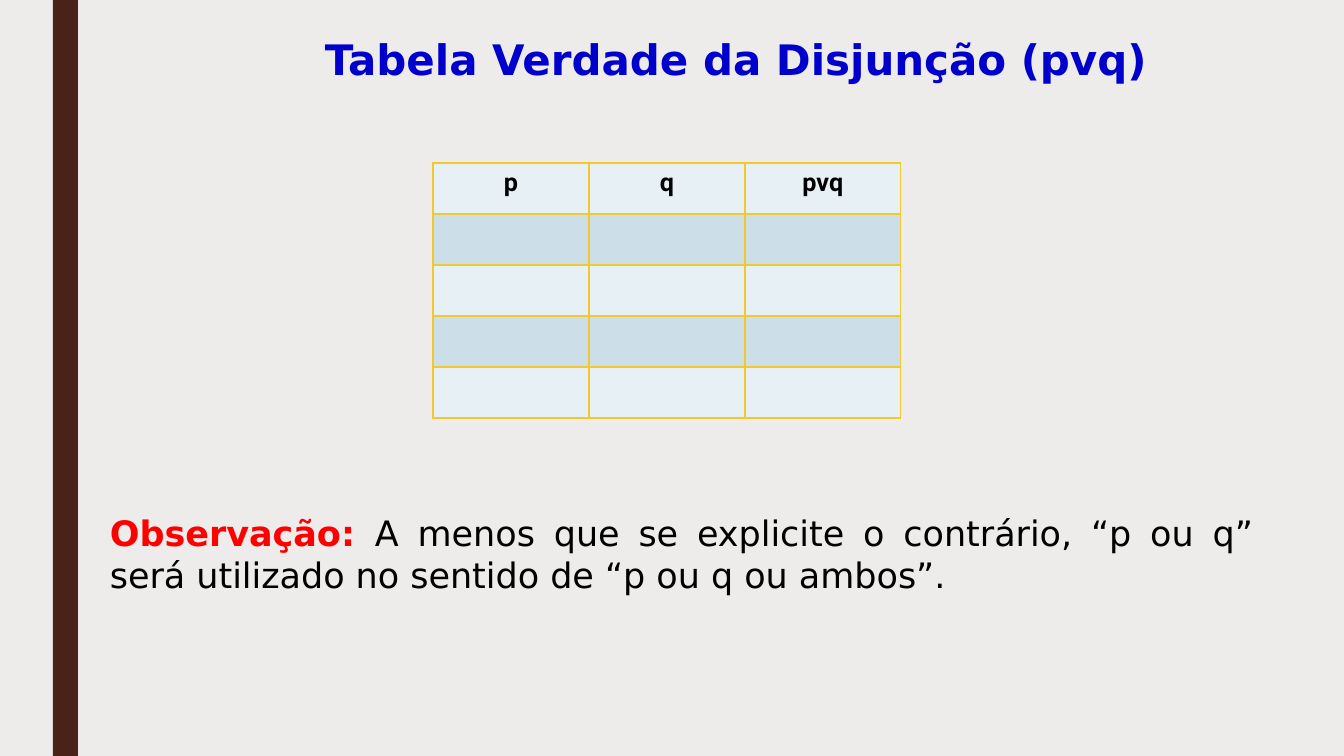
from lxml.etree import SubElement as Sub
from pptx import Presentation
from pptx.dml.color import RGBColor as Rgb
from pptx.enum.shapes import MSO_SHAPE as Shape
from pptx.enum.text import PP_ALIGN as Align
from pptx.oxml.ns import qn
from pptx.util import Emu, Pt

theme = {
    "back": "EDECEB", "bar": "4A2318", "title": "0000CC", "note": "FF0000",
    "text": "000000", "edge": "F3C82E", "bands": ("E7F0F4", "CCDFE8"),
    "font": "DejaVu Sans", "cell": "Roboto",
    "big": 30, "mid": 25, "small": 18,
}


def px(*vals):
    return [Emu(round(v * 914400 / 100.8)) for v in vals]


def add_run(para, text, size, color, bold=True, face=theme["font"]):
    run = para.add_run()
    run.text = text
    run.font.name = face
    run.font.size = Pt(size)
    run.font.bold = bold
    run.font.color.rgb = Rgb.from_string(color)


deck = Presentation()
deck.slide_width, deck.slide_height = px(1344, 756)
slide = deck.slides.add_slide(deck.slide_layouts[6])
slide.background.fill.solid()
slide.background.fill.fore_color.rgb = Rgb.from_string(theme["back"])

bar = slide.shapes.add_shape(Shape.RECTANGLE, *px(53, 0, 25, 756))
bar.shadow.inherit = False
bar.fill.solid()
bar.fill.fore_color.rgb = Rgb.from_string(theme["bar"])
bar.line.fill.background()

title = slide.shapes.add_textbox(*px(315, 29, 907, 126)).text_frame
title.word_wrap = True
add_run(title.paragraphs[0], "Tabela Verdade da Disjunção (pvq)", theme["big"], theme["title"])

heads = ("p", "q", "pvq")
table = slide.shapes.add_table(5, len(heads), *px(433, 163, 468, 255)).table
for r, row in enumerate(table.rows):
    for cell in row.cells:
        props = cell._tc.get_or_add_tcPr()
        for side in ("a:lnL", "a:lnR", "a:lnT", "a:lnB"):
            line = Sub(props, qn(side), w=str(Pt(1)))
            Sub(Sub(line, qn("a:solidFill")), qn("a:srgbClr"), val=theme["edge"])
        cell.fill.solid()
        cell.fill.fore_color.rgb = Rgb.from_string(theme["bands"][r % 2])
for c, head in enumerate(heads):
    para = table.cell(0, c).text_frame.paragraphs[0]
    para.alignment = Align.CENTER
    add_run(para, head, theme["small"], theme["text"], face=theme["cell"])

note = slide.shapes.add_textbox(*px(100, 507, 1163, 96)).text_frame
note.word_wrap = True
para = note.paragraphs[0]
para.alignment = Align.JUSTIFY
add_run(para, "Observação: ", theme["mid"], theme["note"])
add_run(para, "A menos que se explicite o contrário, “p ou q” será utilizado no sentido de “p ou q ou ambos”.",
        theme["mid"], theme["text"], bold=False)

deck.save("out.pptx")
